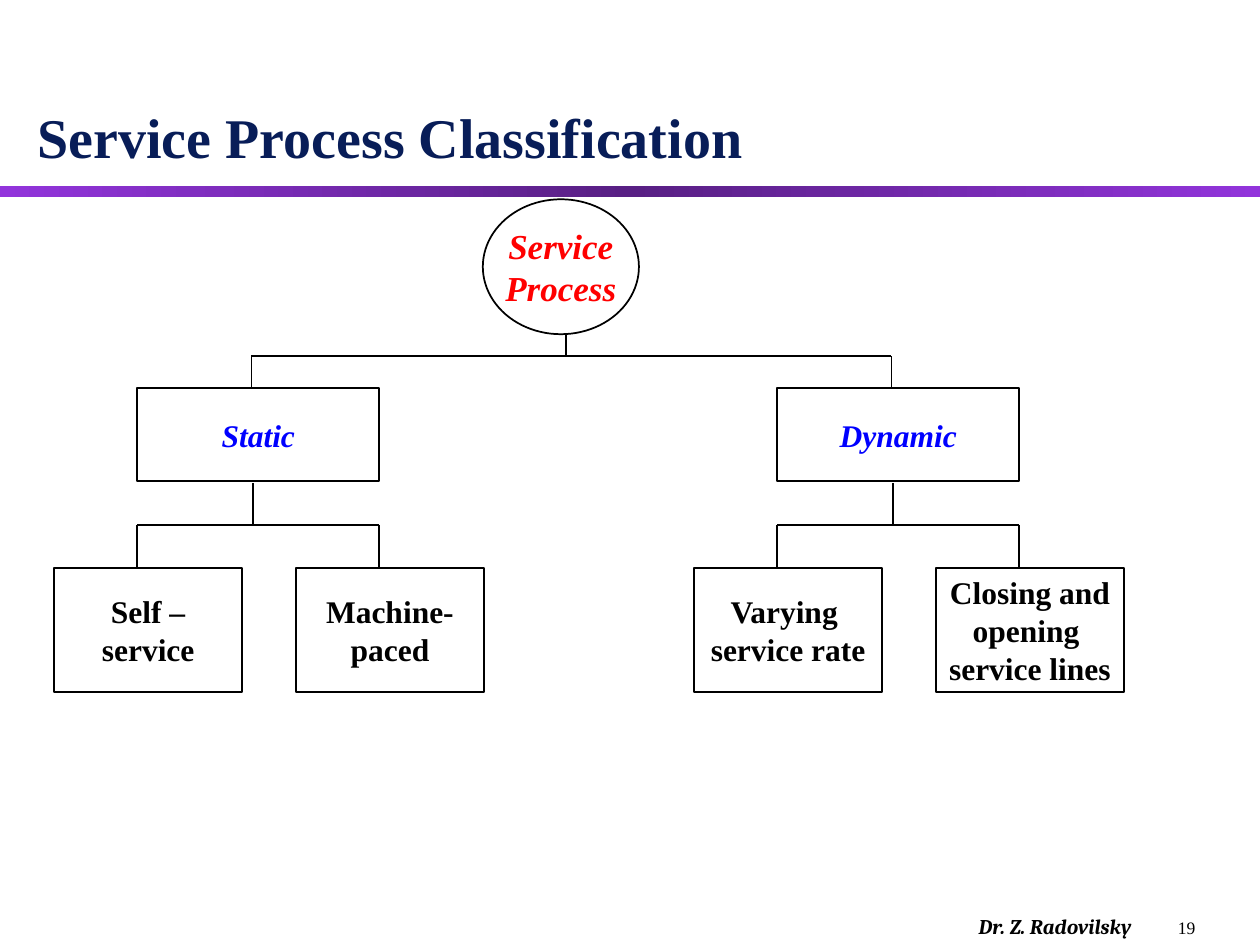
from lxml import etree
from pptx import Presentation
from pptx.dml.color import RGBColor
from pptx.enum.shapes import MSO_CONNECTOR, MSO_SHAPE
from pptx.enum.text import MSO_ANCHOR, PP_ALIGN
from pptx.oxml.ns import qn
from pptx.util import Pt

RECT, OVAL = MSO_SHAPE.RECTANGLE, MSO_SHAPE.OVAL
LINE = MSO_CONNECTOR.STRAIGHT
TOP, MIDDLE, BOTTOM = MSO_ANCHOR.TOP, MSO_ANCHOR.MIDDLE, MSO_ANCHOR.BOTTOM
CENTER = PP_ALIGN.CENTER

SERIF = "Times New Roman"
BLACK, RED, BLUE, NAVY, PURPLE = "000000", "FF0000", "0000FF", "081D58", "9234DB"

TITLE = "Service Process Classification"
AUTHOR, PAGE = "Dr. Z. Radovilsky", "19"
ROOT = "Service\nProcess"
BRANCHES = [
    ("Static", ["Self –\nservice", "Machine-\npaced"]),
    ("Dynamic", ["Varying \nservice rate", "Closing and\nopening \nservice lines"]),
]

BRANCH_LEFT, BRANCH_TOP, BRANCH_W, BRANCH_H = 78.5, 221.8, 138.2, 53.1
BRANCH_STEP = 365.7
LEAF_TOP, LEAF_W, LEAF_H = 324.5, 107.3, 71.1
LEAF_SHIFT = -47.5
ROOT_BUS_Y, LEAF_BUS_Y = 203.6, 300


def rgb(value):
    return RGBColor.from_string(value)


def write(shape, text, size, color, bold=False, italic=False, font=SERIF,
          align=None, anchor=TOP, wrap=True):
    tf = shape.text_frame
    tf.text = text
    tf.word_wrap = wrap
    tf.vertical_anchor = anchor
    for p in tf.paragraphs:
        p.alignment = align
        for r in p.runs:
            f = r.font
            f.name, f.size, f.bold, f.italic = font, Pt(size), bold, italic
            f.color.rgb = rgb(color)


def text_box(s, box, text, size, color, **style):
    write(s.shapes.add_textbox(*map(Pt, box)), text, size, color, **style)


def node(s, kind, box, text, size, color, italic):
    sp = s.shapes.add_shape(kind, *map(Pt, box))
    sp.shadow.inherit = False
    sp.fill.background()
    sp.line.color.rgb = rgb(BLACK)
    sp.line.width = Pt(1)
    write(sp, text, size, color, bold=True, italic=italic,
          align=CENTER, anchor=MIDDLE, wrap=False)


def line(s, x1, y1, x2, y2):
    c = s.shapes.add_connector(LINE, Pt(x1), Pt(y1), Pt(x2), Pt(y2))
    c.line.color.rgb = rgb(BLACK)
    c.line.width = Pt(1)
    etree.SubElement(c._element.spPr, qn("a:effectLst"))


def fork(s, stem_x, top, bus_y, drops, bottom):
    """Stem down to a horizontal bus, then one drop to each child."""
    line(s, stem_x, top, stem_x, bus_y)
    line(s, drops[0], bus_y, drops[-1], bus_y)
    for x in drops:
        line(s, x, bus_y, x, bottom)


def gradient_bar(s, box):
    """Horizontal bar, purple at both ends and shaded in the middle."""
    sp = s.shapes.add_shape(RECT, *map(Pt, box))
    sp.shadow.inherit = False
    sp.line.fill.background()
    sp.fill.gradient()
    sp.fill.gradient_angle = 0
    stops = sp._element.spPr.find(qn("a:gradFill")).find(qn("a:gsLst"))
    for old in list(stops):
        stops.remove(old)
    for pos, shade in ((0, None), (50000, 31373), (100000, None)):
        gs = etree.SubElement(stops, qn("a:gs"), pos=str(pos))
        color = etree.SubElement(gs, qn("a:srgbClr"), val=PURPLE)
        if shade:
            etree.SubElement(color, qn("a:shade"), val=str(shade))


def main():
    prs = Presentation()
    prs.slide_width, prs.slide_height = Pt(720), Pt(540)
    s = prs.slides.add_slide(prs.slide_layouts[6])

    gradient_bar(s, (0, 106.5, 720, 6))
    text_box(s, (552.2, 518.4, 149.8, 21.6), AUTHOR, 12, BLACK,
             bold=True, italic=True, font="Cambria")
    text_box(s, (666, 520.5, 36, 19.5), PAGE, 10, BLACK)
    text_box(s, (14.4, 11.5, 692, 89.3), TITLE, 32, NAVY, bold=True, anchor=BOTTOM)

    node(s, OVAL, (275.9, 113.9, 89.2, 77.1), ROOT, 20, RED, True)
    lefts = [BRANCH_LEFT + i * BRANCH_STEP for i in range(len(BRANCHES))]
    fork(s, 323.4, 191, ROOT_BUS_Y, [x + 65.2 for x in lefts], BRANCH_TOP)

    for left, (name, leaves) in zip(lefts, BRANCHES):
        node(s, RECT, (left, BRANCH_TOP, BRANCH_W, BRANCH_H), name, 18, BLUE, True)
        drops = [left + i * BRANCH_W for i in range(len(leaves))]
        fork(s, left + 66.2, BRANCH_TOP + BRANCH_H + 1, LEAF_BUS_Y, drops, LEAF_TOP)
        for x, leaf in zip(drops, leaves):
            node(s, RECT, (x + LEAF_SHIFT, LEAF_TOP, LEAF_W, LEAF_H),
                 leaf, 18, BLACK, False)

    prs.save("out.pptx")


if __name__ == "__main__":
    main()
